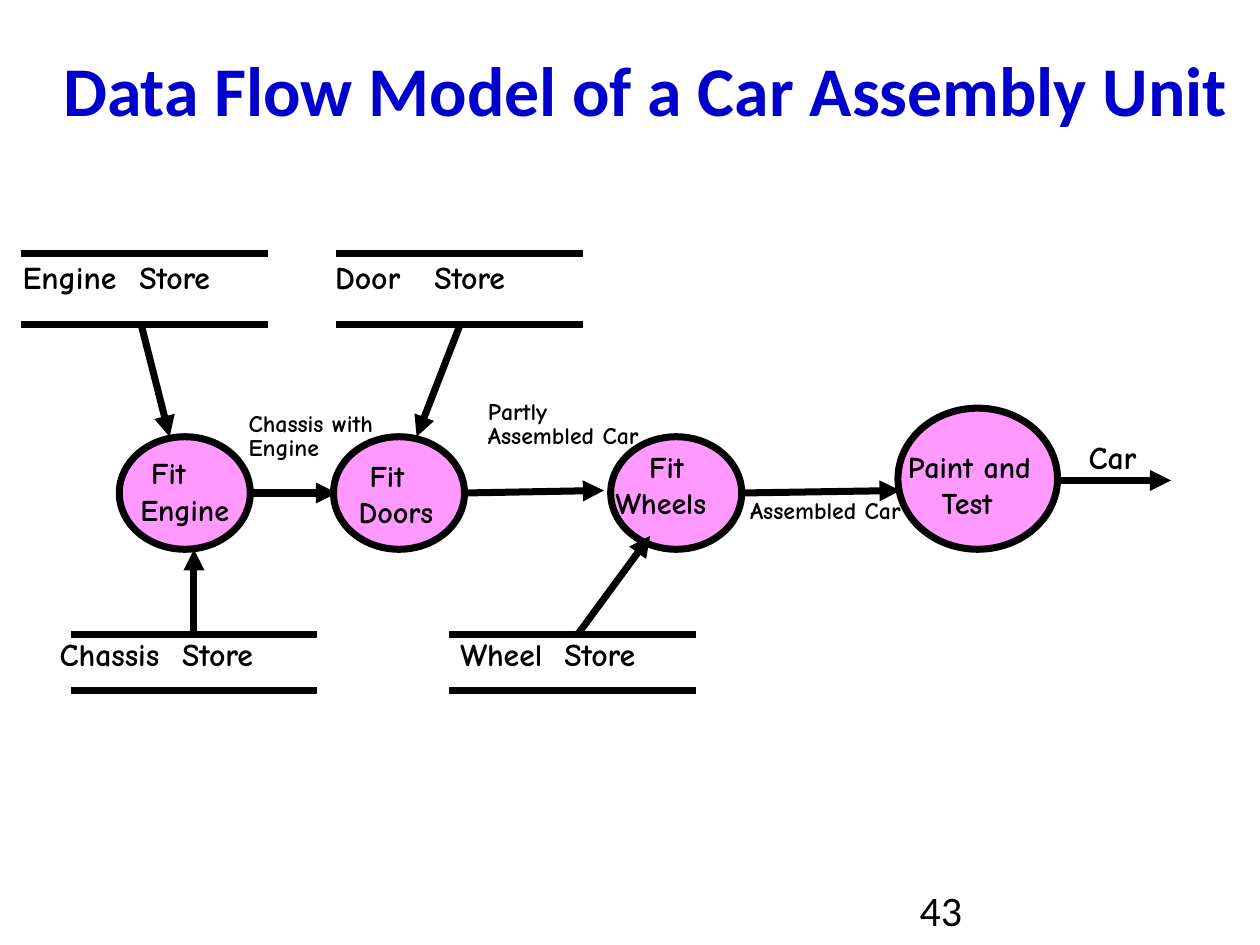
"""Build a data flow diagram of a car assembly unit."""
from dataclasses import dataclass

from lxml.etree import SubElement
from pptx import Presentation
from pptx.dml.color import RGBColor
from pptx.enum.shapes import MSO_CONNECTOR as Connector, MSO_SHAPE as Preset
from pptx.enum.text import MSO_ANCHOR as Anchor, PP_ALIGN as Align
from pptx.oxml.ns import qn
from pptx.util import Inches, Pt


@dataclass(frozen=True)
class Theme:
    ink: RGBColor = RGBColor(0, 0, 0)
    heading: RGBColor = RGBColor(0, 0, 0xCC)
    bubble: RGBColor = RGBColor(0xFF, 0x99, 0xFF)
    body_font: str = "Comic Neue"
    title_font: str = "Calibri"
    title: float = 29.9
    number: float = 18
    store: float = 13.6
    process: float = 12.9
    flow: float = 10.2
    stroke: float = 3


THEME = Theme()
COLUMNS, ROWS, CELL = 75, 56.25, 0.1
STORE_WIDTH = 14.7
UPPER_HALF = ROWS / 2

TITLE = ("Data Flow Model of a Car Assembly Unit", (3.45, 0, 69.9, 11.05))
PAGE_NUMBER = ("43", (53.75, 52.15, 17.5, 3))

# process: ellipse box, label box, lines with their indents
PROCESSES = [
    ((7.1, 26, 7.8, 6.7), (6.9, 27, 8.1, 8.3), [("Fit", 2), ("Engine", 1.35)]),
    ((19.85, 26, 7.8, 6.7), (19.9, 27.15, 7.2, 8.3), [("Fit", 2), ("Doors", 1.35)]),
    ((36.35, 26, 7.8, 6.7), (36.55, 26.6, 8.4, 6), [("Fit", 2), ("Wheels", 0)]),
    ((53.45, 24.3, 9.5, 8.4), (53.95, 26.6, 10.4, 8.3), [("Paint and", 0), ("Test", 2)]),
]
# store: name, left, top, height, label left, label top, tab, arrow start, arrow end
STORES = [
    ("Engine", 1.25, 15.1, 4.2, 1.25, 15.3, 6.95, 8.4, (10.1, 26)),
    ("Door", 20, 15.1, 4.2, 19.85, 15.3, 5.9, 27.4, (24.8, 26)),
    ("Chassis", 4.2, 37.75, 3.35, 3.45, 37.75, 7.3, 11.55, (11.55, 32.7)),
    ("Wheel", 26.75, 37.75, 3.35, 27.3, 37.75, 6.2, 34.4, (38.7, 31.9)),
]
# flow: label, label box, type size, arrow start, arrow end
FLOWS = [
    ("Chassis with Engine", (14.7, 24.2, 10.3, 7.3), THEME.flow, (14.7, 29.35), (20.05, 29.35)),
    ("Partly Assembled Car", (28.95, 23.45, 10.4, 7.3), THEME.flow, (27.6, 29.35), (35.95, 29.2)),
    ("Assembled Car", (44.55, 29.35, 10.4, 5.2), THEME.flow, (44.1, 29.35), (53.6, 29.2)),
    ("Car", (64.7, 26, 10.3, 3.7), THEME.store, (62.9, 28.6), (69.7, 28.6)),
]


def grid(*cells):
    return [Inches(cell * CELL) for cell in cells]


def add_text(slide, lines, box, *, size, font=THEME.body_font, color=THEME.ink, bold=True,
             align=Align.LEFT, anchor=Anchor.TOP, spacing=0.85, gap=2.4, tab=None,
             margins=(0.1, 0.4)):
    frame = slide.shapes.add_textbox(*grid(*box)).text_frame
    frame.word_wrap = True
    frame.vertical_anchor = anchor
    frame.margin_left, frame.margin_top = frame.margin_right, frame.margin_bottom = grid(*margins)
    for index, (text, indent) in enumerate(lines):
        paragraph = frame.add_paragraph() if index else frame.paragraphs[0]
        paragraph.alignment = align
        paragraph.line_spacing = spacing
        if index:
            paragraph.space_before = Pt(gap)
        properties = paragraph._p.get_or_add_pPr()
        if indent:
            properties.set("marL", str(Inches(indent * CELL)))
            properties.set("indent", "0")
        if tab:
            stops = SubElement(properties, qn("a:tabLst"))
            SubElement(stops, qn("a:tab"), pos=str(Inches(tab * CELL)), algn="l")
        run = paragraph.add_run()
        run.text = text
        run.font.name, run.font.size, run.font.bold = font, Pt(size), bold
        run.font.color.rgb = color


def add_line(slide, start, end, arrow=False):
    connector = slide.shapes.add_connector(Connector.STRAIGHT, *grid(*start, *end))
    connector.line.color.rgb = THEME.ink
    connector.line.width = Pt(THEME.stroke)
    if arrow:
        SubElement(connector.line._get_or_add_ln(), qn("a:tailEnd"), type="triangle")
    SubElement(connector._element.spPr, qn("a:effectLst"))


def add_process(slide, box, label_box, lines):
    ellipse = slide.shapes.add_shape(Preset.OVAL, *grid(*box))
    ellipse.shadow.inherit = False
    ellipse.fill.solid()
    ellipse.fill.fore_color.rgb = THEME.bubble
    ellipse.line.color.rgb = THEME.ink
    ellipse.line.width = Pt(THEME.stroke)
    add_text(slide, lines, label_box, size=THEME.process)


def add_store(slide, name, left, top, height, label_left, label_top, tab, exit_column, target):
    bottom = top + height
    for row in (top, bottom):
        add_line(slide, (left, row), (left + STORE_WIDTH, row))
    exit_row = bottom if top < UPPER_HALF else top
    add_line(slide, (exit_column, exit_row), target, arrow=True)
    add_text(slide, [(f"{name}\tStore", 0)], (label_left, label_top, 15.9, 6.2),
             size=THEME.store, tab=tab)


def main():
    presentation = Presentation()
    presentation.slide_width, presentation.slide_height = grid(COLUMNS, ROWS)
    slide = presentation.slides.add_slide(presentation.slide_layouts[6])
    for process in PROCESSES:
        add_process(slide, *process)
    for store in STORES:
        add_store(slide, *store)
    for label, box, size, start, end in FLOWS:
        add_line(slide, start, end, arrow=True)
        add_text(slide, [(label, 0)], box, size=size)
    title, title_box = TITLE
    add_text(slide, [(title, 0)], title_box, size=THEME.title, font=THEME.title_font,
             color=THEME.heading, align=Align.CENTER, anchor=Anchor.MIDDLE, spacing=0.94)
    number, number_box = PAGE_NUMBER
    add_text(slide, [(number, 0)], number_box, size=THEME.number, font=THEME.title_font,
             bold=False, spacing=1.0, margins=(1, 0.5))
    presentation.save("out.pptx")


if __name__ == "__main__":
    main()
